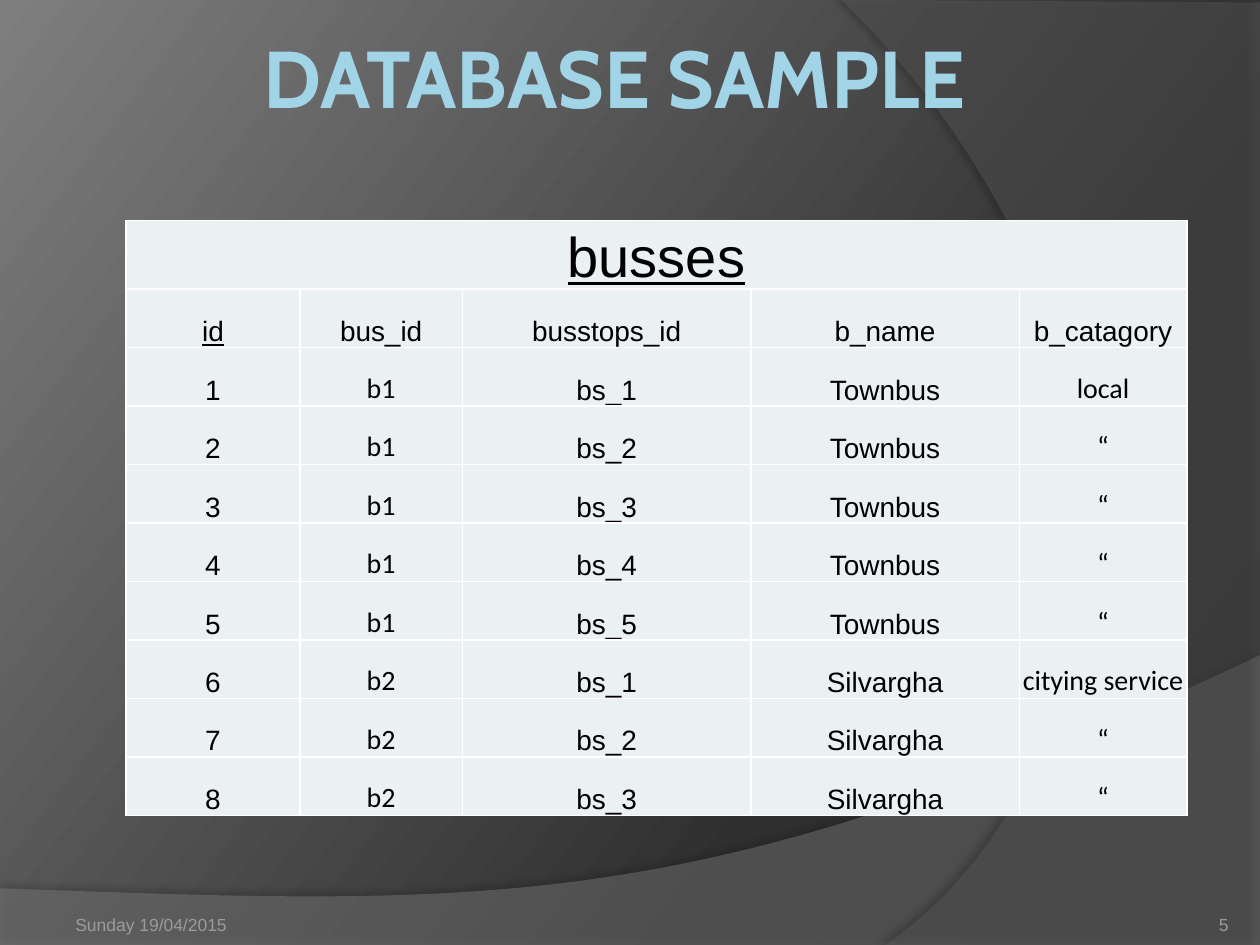
from dataclasses import dataclass

from lxml.etree import SubElement
from pptx import Presentation
from pptx.dml.color import RGBColor
from pptx.dml.fill import FillFormat
from pptx.enum.text import MSO_ANCHOR as Anchor, PP_ALIGN as Align
from pptx.oxml.ns import qn
from pptx.util import Inches, Pt

Point = tuple[float, float]
Stops = tuple[tuple[int, str], ...]


@dataclass(frozen=True)
class Theme:
    title_font: str = "Cabin"
    main_font: str = "Arial"
    alt_font: str = "Calibri"
    title_size: float = 46
    caption_size: float = 32
    cell_size: float = 16
    footer_size: float = 10
    text: str = "000000"
    footer: str = "9D9B9A"
    cell: str = "EBF0F2"
    border: str = "FFFFFF"
    title_outline: str = "5DD4FF"
    shadow: str = "000000"
    background: Stops = ((0, "282828"), (30, "2F2F2F"), (100, "7E7E7E"))
    title_fill: Stops = ((0, "A1D4E7"), (9, "A1D4E7"), (53, "58808D"),
                         (90, "A1D4E7"), (100, "A1D4E7"))


@dataclass(frozen=True)
class Wave:
    """A translucent panel: straight corners, then one Bezier edge."""
    corners: list[Point]
    curve: list[Point]
    color: str
    opacity: int
    shadow_opacity: int
    shadow_distance: float
    shadow_angle: int


@dataclass(frozen=True)
class Footer:
    text: str
    left: float
    width: float
    align: Align
    side_margin: float


THEME = Theme()
WAVES = [
    Wave([(0, 7.05), (0, 7.51), (10, 7.51)],
         [(10, 5.2), (5.59, 7.29), (3.91, 7.19), (0, 7.05)],
         "7F7F7F", 45, 35, 3.5, 270),
    Wave([(10, 0.02), (10, 7.5)],
         [(7.03, 7.5), (8.91, 6.19), (9.47, 2.75), (6.68, 0)],
         "5E5E5E", 40, 45, 4, 180),
]
FOOTERS = [
    Footer("5", 8.92, 0.83, Align.RIGHT, 0),
    Footer("Sunday 19/04/2015", 0.5, 2.33, Align.LEFT, 0.1),
]

COLUMN_WIDTHS = [1.38, 1.29, 2.29, 2.13, 1.33]
# The caption row grows to fit its text.
CAPTION_HEIGHT, BODY_HEIGHT, TABLE_HEIGHT = 0.07, 4.18, 4.73
HEADINGS = ["id", "bus_id", "busstops_id", "b_name", "b_catagory"]
ALT_FONT_COLUMNS = {HEADINGS.index("bus_id"), HEADINGS.index("b_catagory")}
# bus id, operator name, category, number of stops
BUSES = [("b1", "Townbus", "local", 5), ("b2", "Silvargha", "citying service", 3)]


def add_color(parent, color: str, opacity: int = 100) -> None:
    rgb = SubElement(parent, qn("a:srgbClr"), val=color)
    if opacity < 100:
        SubElement(rgb, qn("a:alpha"), val=str(opacity * 1000))


def set_gradient(fill: FillFormat, owner, stops: Stops, angle: float) -> None:
    """Give fill any number of stops; owner is the XML element that holds it."""
    fill.gradient()
    fill.gradient_angle = angle
    stop_list = owner.find(".//" + qn("a:gsLst"))
    for old_stop in list(stop_list):
        stop_list.remove(old_stop)
    for position, color in stops:
        add_color(SubElement(stop_list, qn("a:gs"), pos=str(position * 1000)), color)


def add_line(parent, tag: str, color: str, width: float, index: int) -> None:
    line = SubElement(parent, qn(tag), w=str(Pt(width)))
    add_color(SubElement(line, qn("a:solidFill")), color)
    parent.insert(index, line)


def curve_last_edge(panel, controls: list[Point]) -> None:
    """Turn the last straight edge of a freeform into a cubic Bezier."""
    edge = panel.element.findall(".//" + qn("a:lnTo"))[-1]
    curve = SubElement(edge.getparent(), qn("a:cubicBezTo"))
    for x, y in controls:
        SubElement(curve, qn("a:pt"), x=str(Inches(x) - panel.left),
                   y=str(Inches(y) - panel.top))
    edge.getparent().replace(edge, curve)


def add_wave(slide, wave: Wave, depth: int) -> None:
    outline = wave.corners + [wave.curve[0], wave.curve[-1]]
    start, *rest = [(Inches(x), Inches(y)) for x, y in outline]
    builder = slide.shapes.build_freeform(*start)
    builder.add_line_segments(rest, close=True)
    panel = builder.convert_to_shape()
    curve_last_edge(panel, wave.curve[1:])
    panel.fill.solid()
    panel.fill.fore_color.rgb = RGBColor.from_string(wave.color)
    color = panel.element.spPr.find(qn("a:solidFill")).find(qn("a:srgbClr"))
    SubElement(color, qn("a:alpha"), val=str(wave.opacity * 1000))
    panel.line.fill.background()
    panel.shadow.inherit = False
    shadow = SubElement(
        panel.element.spPr.find(qn("a:effectLst")), qn("a:outerShdw"),
        blurRad=str(Pt(4)), dist=str(Pt(wave.shadow_distance)),
        dir=str(wave.shadow_angle * 60000), algn="ctr", rotWithShape="0")
    add_color(shadow, THEME.shadow, wave.shadow_opacity)
    slide.shapes.element.insert(2 + depth, panel.element)


def set_margins(frame, left: float, top: float, right: float, bottom: float) -> None:
    frame.margin_left, frame.margin_top = Inches(left), Inches(top)
    frame.margin_right, frame.margin_bottom = Inches(right), Inches(bottom)


def add_run(frame, text: str, size: float, font: str, color: str, align: Align):
    paragraph = frame.paragraphs[0]
    paragraph.alignment = align
    run = paragraph.add_run()
    run.text = text
    run.font.size, run.font.name = Pt(size), font
    run.font.color.rgb = RGBColor.from_string(color)
    return run


def add_title(slide, text: str) -> None:
    title = slide.shapes.title
    title.left, title.top = Inches(1.33), Inches(0.17)
    title.width, title.height = Inches(7.09), Inches(1.02)
    frame = title.text_frame
    frame.vertical_anchor = Anchor.TOP
    set_margins(frame, 0.05, 0.05, 0.05, 0.05)
    run = add_run(frame, text, THEME.title_size, THEME.title_font,
                  THEME.title_fill[0][1], Align.CENTER)
    run.font.bold = True
    set_gradient(run.font.fill, run._r, THEME.title_fill, 270)
    add_line(run._r.rPr, "a:ln", THEME.title_outline, 0.39, 0)


def add_footer(slide, footer: Footer) -> None:
    box = slide.shapes.add_textbox(Inches(footer.left), Inches(7.02),
                                   Inches(footer.width), Inches(0.4))
    frame = box.text_frame
    frame.word_wrap = True
    frame.vertical_anchor = Anchor.BOTTOM
    set_margins(frame, footer.side_margin, 0, footer.side_margin, 0)
    add_run(frame, footer.text, THEME.footer_size, THEME.main_font,
            THEME.footer, footer.align)


def fill_cell(cell, text: str, size: float, font: str, underline: bool) -> None:
    cell.fill.solid()
    cell.fill.fore_color.rgb = RGBColor.from_string(THEME.cell)
    for index, side in enumerate("LRTB"):
        add_line(cell._tc.tcPr, f"a:ln{side}", THEME.border, 1, index)
    cell.vertical_anchor = Anchor.BOTTOM
    set_margins(cell, 0.01, 0.01, 0.01, 0)
    if text:
        run = add_run(cell.text_frame, text, size, font, THEME.text, Align.CENTER)
        run.font.underline = underline


def bus_rows() -> list[list[str]]:
    """One row per stop; a category is spelled out once, then a ditto mark."""
    stops = [(bus, f"bs_{stop}", name, "“" if stop > 1 else category)
             for bus, name, category, count in BUSES for stop in range(1, count + 1)]
    return [[str(number), *stop] for number, stop in enumerate(stops, 1)]


def add_bus_table(slide) -> None:
    caption = ["busses"] + [""] * (len(HEADINGS) - 1)
    rows = [caption, HEADINGS, *bus_rows()]
    holder = slide.shapes.add_table(len(rows), len(HEADINGS), Inches(1), Inches(1.75),
                                    Inches(sum(COLUMN_WIDTHS)), Inches(TABLE_HEIGHT))
    table = holder.table
    table.first_row = table.horz_banding = False
    for column, width in zip(table.columns, COLUMN_WIDTHS):
        column.width = Inches(width)
    row_height = BODY_HEIGHT / (len(rows) - 1)
    for r, texts in enumerate(rows):
        table.rows[r].height = Inches(row_height if r else CAPTION_HEIGHT)
        for c, text in enumerate(texts):
            alternate = r > 1 and c in ALT_FONT_COLUMNS
            fill_cell(table.cell(r, c), text,
                      THEME.cell_size if r else THEME.caption_size,
                      THEME.alt_font if alternate else THEME.main_font,
                      underline=r < 2 and c == 0)
    table.cell(0, 0).merge(table.cell(0, len(HEADINGS) - 1))
    holder.height = Inches(TABLE_HEIGHT)


def main() -> None:
    deck = Presentation()
    deck.slide_width, deck.slide_height = Inches(10), Inches(7.5)
    slide = deck.slides.add_slide(deck.slide_layouts[5])
    set_gradient(slide.background.fill, slide.element, THEME.background, 143)
    for depth, wave in enumerate(WAVES):
        add_wave(slide, wave, depth)
    add_title(slide, "DATABASE SAMPLE")
    for footer in FOOTERS:
        add_footer(slide, footer)
    add_bus_table(slide)
    deck.save("out.pptx")


if __name__ == "__main__":
    main()
